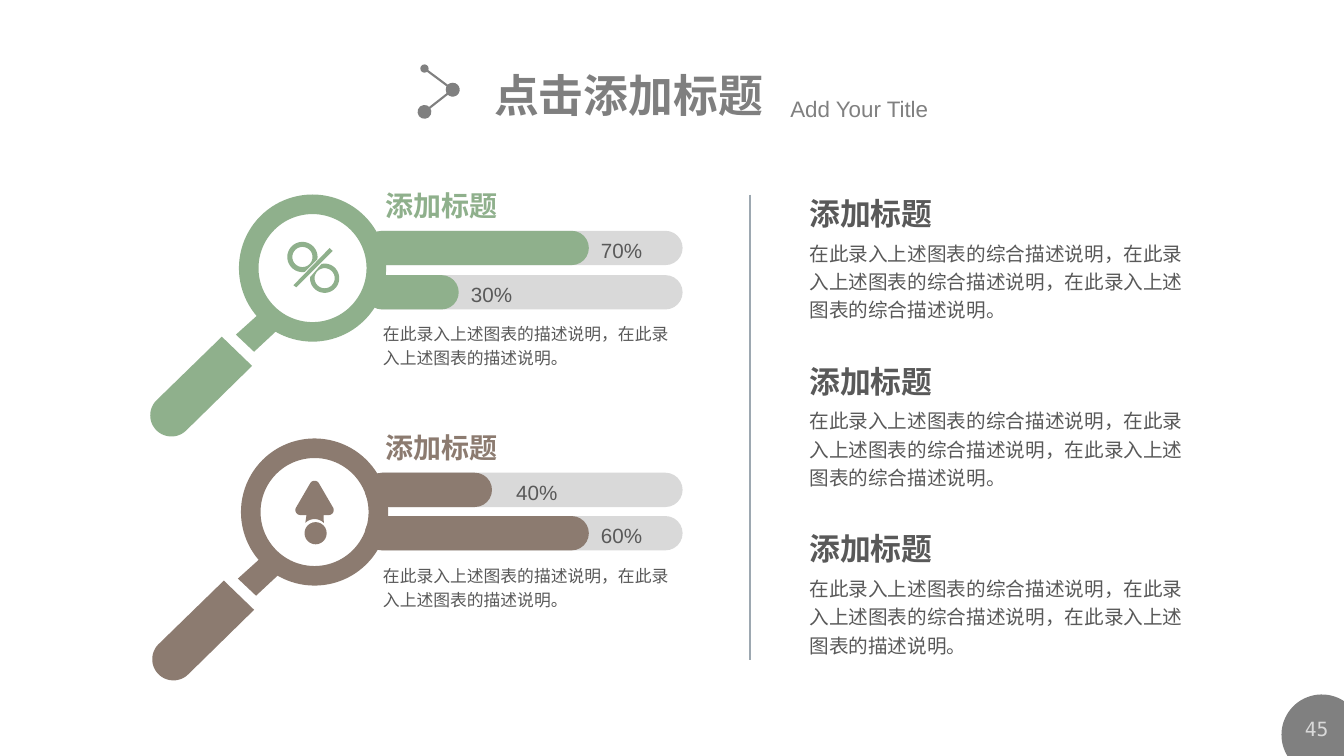
from math import cos, radians, sin

from lxml import etree
from pptx import Presentation
from pptx.dml.color import RGBColor
from pptx.enum.shapes import MSO_CONNECTOR as Connector, MSO_SHAPE as Preset
from pptx.enum.text import MSO_ANCHOR as Anchor, MSO_AUTO_SIZE as AutoSize, PP_ALIGN as Align
from pptx.oxml.ns import qn
from pptx.util import Inches, Pt

GREEN = RGBColor(0x8F, 0xB0, 0x8C)
BROWN = RGBColor(0x8C, 0x7B, 0x70)
TRACK = RGBColor(0xD9, 0xD9, 0xD9)
TEXT = RGBColor(0x59, 0x59, 0x59)
GREY = RGBColor(0x80, 0x80, 0x80)
TITLE = RGBColor(0x7F, 0x7F, 0x7F)
RULE = RGBColor(0x9D, 0xA8, 0xB1)
CJK = "Noto Sans CJK SC"


def write(box, text, size, color, font=CJK, bold=False, align=Align.LEFT, spacing=None, wrap=True):
    """Put one formatted run into a text shape."""
    frame = box.text_frame
    frame.word_wrap = wrap
    frame.auto_size = AutoSize.SHAPE_TO_FIT_TEXT
    frame.vertical_anchor = Anchor.TOP
    para = frame.paragraphs[0]
    para.alignment = align
    para.line_spacing = spacing
    span = para.add_run()
    span.text = text
    span.font.size = Pt(size)
    span.font.bold = bold
    span.font.name = font
    span.font.color.rgb = color
    etree.SubElement(span.font._element, qn("a:ea"), typeface=CJK)


def add_text(page, left, top, width, height, text, size, color, **style):
    """Add a text box, with lengths in inches."""
    box = page.shapes.add_textbox(Inches(left), Inches(top), Inches(width), Inches(height))
    write(box, text, size, color, **style)
    return box


def paint(shape, color):
    """Give a shape a flat fill without line or shadow."""
    shape.shadow.inherit = False
    shape.fill.solid()
    shape.fill.fore_color.rgb = color
    shape.line.fill.background()


def add_preset(page, preset, left, top, width, height, color, adjust=None):
    """Add a flat preset shape."""
    shape = page.shapes.add_shape(preset, Inches(left), Inches(top), Inches(width), Inches(height))
    if adjust is not None:
        shape.adjustments[0] = adjust
    paint(shape, color)


def add_outline(page, left, top, color, *contours):
    """Add a freeform whose contours are offsets from a corner."""
    paths = [[(Inches(left + x), Inches(top + y)) for x, y in contour] for contour in contours]
    builder = page.shapes.build_freeform(*paths[0][0])
    builder.add_line_segments(paths[0][1:])
    for path in paths[1:]:
        builder.move_to(*path[0])
        builder.add_line_segments(path[1:])
    paint(builder.convert_to_shape(), color)


def arc(x, y, radius, start, end, steps=32):
    """List points along a circular arc, with angles in degrees."""
    angles = [radians(start + (end - start) * step / steps) for step in range(steps + 1)]
    return [(x + radius * cos(angle), y + radius * sin(angle)) for angle in angles]


def add_line(page, start, end, color, width, caps=()):
    """Add a straight line with optional round ends."""
    line = page.shapes.add_connector(Connector.STRAIGHT, *map(Inches, start + end))
    line.line.color.rgb = color
    line.line.width = Pt(width)
    for tag, size in zip(("a:headEnd", "a:tailEnd"), caps):
        etree.SubElement(line.line._get_or_add_ln(), qn(tag), type="oval", w=size, len=size)
    etree.SubElement(line._element.spPr, qn("a:effectLst"))


def add_header(page, left, top):
    """Place the branch icon, the title and the subtitle."""
    title = page.shapes.title
    title.left, title.top = Inches(left + 0.59), Inches(top)
    title.width, title.height = Inches(2.9), Inches(0.64)
    write(title, "点击添加标题", 32, TITLE, font="Arial", bold=True, wrap=False)
    add_text(page, left + 3.53, top + 0.27, 2.52, 0.37, "Add Your Title", 16, GREY, font="Arial")
    joint = (left + 0.28, top + 0.27)
    add_line(page, (left, top + 0.06), joint, GREY, 1.5, ("med", "lg"))
    add_line(page, joint, (left, top + 0.49), GREY, 1.5, ("lg", "lg"))


def add_percent(page, left, top, color):
    """Draw the percent sign inside a lens."""
    for x, y, radius, start in ((0.63, 0.62, 0.15, 82), (0.85, 0.83, 0.145, 258)):
        rim = arc(x, y, radius, start, start + 286)
        add_outline(page, left, top, color, rim, arc(x, y, 0.1, 0, 360))
    add_outline(page, left, top, color, [(0.93, 0.56), (0.57, 0.92), (0.54, 0.9), (0.9, 0.53)])


def add_pointer(page, left, top, color):
    """Draw the upward arrow and its ball inside a lens."""
    head = arc(0.73, 0.47, 0.05, 210, 330) + arc(0.87, 0.71, 0.05, -30, 90)
    notch = [(0.82, 0.76)] + arc(0.73, 0.93, 0.13, -45, -135) + [(0.65, 0.76)]
    add_outline(page, left, top, color, head + notch + arc(0.59, 0.71, 0.05, 90, 210))
    add_preset(page, Preset.OVAL, left + 0.63, top + 0.83, 0.22, 0.22, color)


def add_lens(page, left, top, color, add_symbol):
    """Draw a magnifying glass around a symbol."""
    add_outline(page, left, top, color, [(0.44, 1.29), (0.15, 1.56), (-0.03, 1.39), (0.27, 1.12)])
    add_preset(page, Preset.DONUT, left, top, 1.46, 1.46, color, 0.133)
    grip = [(-0.17, 1.41)] + arc(-0.67, 2.19, 0.21, 223, 45) + [(0.13, 1.7)]
    add_outline(page, left, top, color, grip)
    add_symbol(page, left, top, color)


def add_bar(page, left, top, color, label, length, label_width):
    """Draw a rounded progress bar with its value."""
    for width, fill in ((3.15, TRACK), (length, color)):
        add_preset(page, Preset.ROUNDED_RECTANGLE, left, top, width, 0.34, fill, 0.5)
    add_text(page, left + length - 0.03, top - 0.03, label_width, 0.37, label, 14.7, TEXT,
             font="Arial", align=Align.CENTER, spacing=1.2)


def add_panel(page, left, top, color, add_symbol, bar_top, pitch, bars):
    """Place a lens with a heading, two bars and a description."""
    for index, bar in enumerate(bars):
        add_bar(page, 3.62, bar_top + index * pitch, color, *bar)
    add_lens(page, left, top, color, add_symbol)
    add_text(page, 3.72, bar_top - 0.47, 1.32, 0.44, "添加标题", 20, color, bold=True, wrap=False)
    add_text(page, 3.7, bar_top + 0.83, 3.08, 0.59,
             "在此录入上述图表的描述说明，在此录入上述图表的描述说明。", 12, TEXT, spacing=1.2)


def add_summary(page, left, top, ending):
    """Place a heading above its paragraph."""
    add_text(page, left, top, 1.44, 0.47, "添加标题", 22, TEXT, bold=True, wrap=False)
    body = "在此录入上述图表的综合描述说明，" * 2 + ending
    add_text(page, left, top + 0.42, 3.96, 0.95, body, 14, TEXT, spacing=1.2)


def add_page_number(page, left, top):
    """Place the page number on its cropped disc."""
    add_outline(page, left, top, GREY, arc(0.41, 0.4, 0.4, 146, 303) + [(0.63, 0.63)])
    box = add_text(page, left + 0.11, top + 0.18, 0.5, 0.31, "45", 14, TRACK,
                   font="DejaVu Sans Mono", align=Align.CENTER)
    frame = box.text_frame
    frame.margin_left = frame.margin_right = Inches(0.07)
    frame.margin_top = frame.margin_bottom = Inches(0.04)


def main():
    """Build the slide."""
    deck = Presentation()
    deck.slide_width, deck.slide_height = Inches(13.33), Inches(7.5)
    page = deck.slides.add_slide(deck.slide_layouts[5])
    add_page_number(page, 12.7, 6.89)
    add_line(page, (7.44, 1.93), (7.44, 6.55), RULE, 1)
    add_panel(page, 2.37, 1.93, GREEN, add_percent, 2.29, 0.44,
              (("70%", 2.22, 0.71), ("30%", 0.93, 0.71)))
    add_panel(page, 2.39, 4.35, BROWN, add_pointer, 4.69, 0.43,
              (("40%", 1.26, 0.95), ("60%", 2.22, 0.71)))
    endings = ("在此录入上述图表的综合描述说明。",) * 2 + ("在此录入上述图表的描述说明。",)
    for index, ending in enumerate(endings):
        add_summary(page, 7.93, 1.88 + index * 1.665, ending)
    add_header(page, 4.21, 0.62)
    deck.save("out.pptx")


if __name__ == "__main__":
    main()
